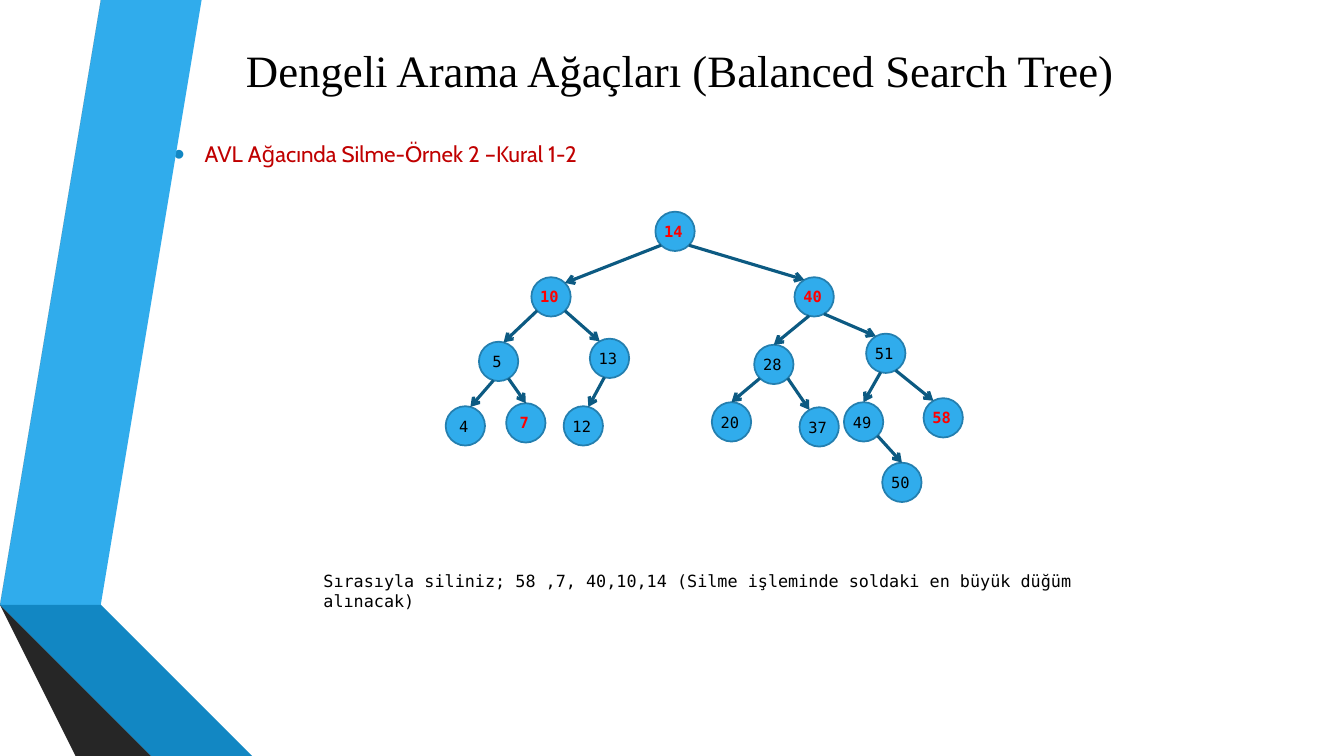
import math

import pptx
import pptx.dml.color
import pptx.enum.shapes
import pptx.enum.text
import pptx.util
from lxml import etree
from pptx.oxml.ns import qn

Inches, Pt = pptx.util.Inches, pptx.util.Pt
PP = pptx.enum.text
MONO = "DejaVu Sans Mono"
W, H = 13.33, 7.5
DIAMETER = 0.39


def color(hex_string):
    return pptx.dml.color.RGBColor.from_string(hex_string)


def style(p, text, size, font, hex_string, bold=False):
    """Write one paragraph with a uniform font."""
    p.text = text
    p.font.size = Pt(size)
    p.font.name = font
    p.font.bold = bold
    p.font.color.rgb = color(hex_string)


prs = pptx.Presentation()
prs.slide_width, prs.slide_height = Inches(W), Inches(H)
s = prs.slides.add_slide(prs.slide_layouts[1])

# Ribbon folded along the left edge
ribbon = [
    ("30ACEC", [(0.5, 5.78), (0.77, 5.83), (1.73, 0), (1.45, 0)]),
    ("595959", [(1.39, 0), (1.11, 0), (0.16, 5.73), (0.44, 5.77)]),
    ("262626", [(0.16, 5.73), (1.45, H), (1.51, H)]),
    ("0C5A82", [(0.5, 5.79), (2.08, H), (2.14, H)]),
    ("1287C3", [(0.5, 5.78), (2.14, H), (2.83, H), (0.77, 5.83)]),
    ("404040", [(2.02, H), (0.48, 5.83), (0.44, 5.77), (0.16, 5.73), (1.51, H)]),
]
for fill, points in ribbon:
    outline = s.shapes.build_freeform(*points[0], scale=Inches(1))
    outline.add_line_segments(points[1:], close=True)
    sp = outline.convert_to_shape()
    sp.shadow.inherit = False
    sp.fill.solid()
    sp.fill.fore_color.rgb = color(fill)
    sp.line.fill.background()

# Title and bullet
title, body = s.placeholders
for sp, box in ((title, (1.55, 0.17, 10.39, 1.04)), (body, (1.62, 1.21, 10.94, 0.88))):
    sp.left, sp.top, sp.width, sp.height = map(Inches, box)
    sp.text_frame.auto_size = PP.MSO_AUTO_SIZE.NONE

title.text_frame.vertical_anchor = PP.MSO_ANCHOR.MIDDLE
p = title.text_frame.paragraphs[0]
p.alignment = PP.PP_ALIGN.CENTER
style(p, "Dengeli Arama Ağaçları (Balanced Search Tree)", 32, "Times New Roman", "000000")

p = body.text_frame.paragraphs[0]
style(p, "AVL Ağacında Silme-Örnek 2 –Kural 1-2", 16, "Cabin", "C00000")
p.line_spacing = 1.5
p.space_before = Pt(0)
pPr = p._p.get_or_add_pPr()
pPr.set("marL", str(Inches(0.31)))
pPr.set("indent", str(-Inches(0.31)))
bullet_color = etree.Element(qn("a:buClr"))
etree.SubElement(bullet_color, qn("a:srgbClr"), val="1287C3")
bullet = [
    bullet_color,
    etree.Element(qn("a:buSzPct"), val="145000"),
    etree.Element(qn("a:buFont"), typeface="Arial"),
    etree.Element(qn("a:buChar"), char="•"),
]
pPr.find(qn("a:defRPr")).getprevious().addnext(bullet[0])
for before, after in zip(bullet, bullet[1:]):
    before.addnext(after)

# Instruction below the tree
sp = s.shapes.add_textbox(Inches(3.11), Inches(5.61), Inches(8.27), Inches(0.3))
sp.text_frame.word_wrap = True
style(
    sp.text_frame.paragraphs[0],
    "Sırasıyla siliniz; 58 ,7, 40,10,14 (Silme işleminde soldaki en büyük düğüm alınacak)",
    12, MONO, "000000",
)

# key: parent, left, top, angle at which the arrow arrives (clockwise from east)
tree = {
    14: (None, 6.5, 2.1, None),
    10: (14, 5.27, 2.75, 315),
    40: (14, 7.88, 2.75, 240),
    5: (10, 4.75, 3.39, 285),
    13: (10, 5.85, 3.36, 240),
    28: (40, 7.48, 3.42, 270),
    51: (40, 8.59, 3.31, 240),
    4: (5, 4.42, 4.03, 285),
    7: (5, 5.02, 4.0, 270),
    12: (13, 5.59, 4.03, 285),
    20: (28, 7.06, 3.99, 270),
    37: (28, 7.93, 4.04, 240),
    49: (51, 8.37, 3.99, 270),
    58: (51, 9.16, 3.95, 240),
    50: (49, 8.75, 4.59, 270),
}
deleted = {58, 7, 40, 10, 14}
steep = {40, 5, 13, 51}  # parents whose arrows leave closer to the bottom


def rim(key, angle):
    """Point on the circle of a node at the given angle."""
    left, top = tree[key][1:3]
    r, a = DIAMETER / 2, math.radians(angle)
    return Inches(left + r + r * math.cos(a)), Inches(top + r + r * math.sin(a))


for key, (parent, left, top, arrive) in tree.items():
    sp = s.shapes.add_shape(
        pptx.enum.shapes.MSO_SHAPE.OVAL,
        Inches(left), Inches(top), Inches(DIAMETER), Inches(DIAMETER),
    )
    sp.shadow.inherit = False
    sp.fill.solid()
    sp.fill.fore_color.rgb = color("30ACEC")
    sp.line.color.rgb = color("247FAF")
    sp.line.width = Pt(1.25)
    tf = sp.text_frame
    tf.word_wrap = False
    tf.margin_left = tf.margin_top = tf.margin_bottom = 0
    tf.margin_right = Inches(0.03)
    tf.vertical_anchor = PP.MSO_ANCHOR.MIDDLE
    p = tf.paragraphs[0]
    p.alignment = PP.PP_ALIGN.CENTER
    marked = key in deleted
    style(p, str(key), 11, MONO, "FF0000" if marked else "000000", marked)

    if parent is None:
        continue
    to_left, to_right = (105, 60) if parent in steep else (135, 45)
    leave = to_left if key < parent else to_right
    edge = s.shapes.add_connector(
        pptx.enum.shapes.MSO_CONNECTOR.STRAIGHT, *rim(parent, leave), *rim(key, arrive)
    )
    edge.line.color.rgb = color("0C5A82")
    edge.line.width = Pt(2.25)
    etree.SubElement(edge.line._get_or_add_ln(), qn("a:tailEnd"), type="arrow")
    etree.SubElement(edge._element.spPr, qn("a:effectLst"))

prs.save("out.pptx")
